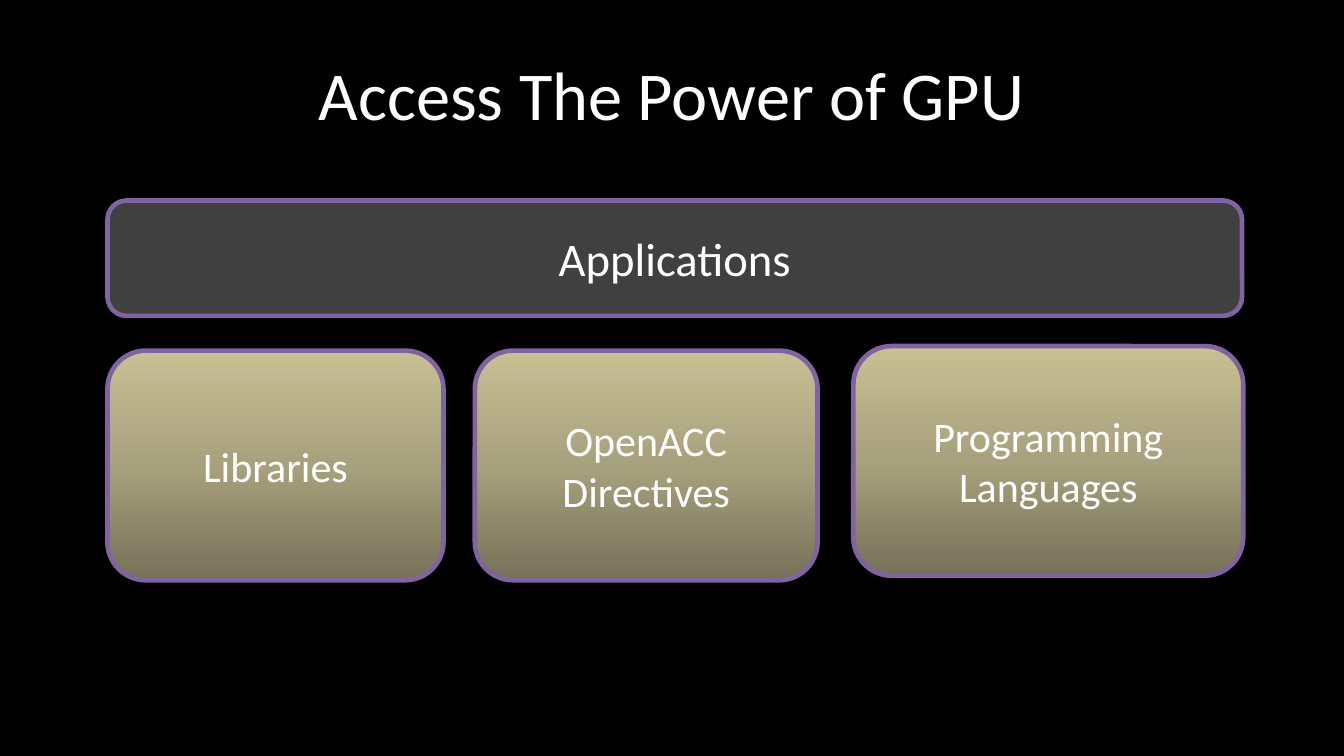
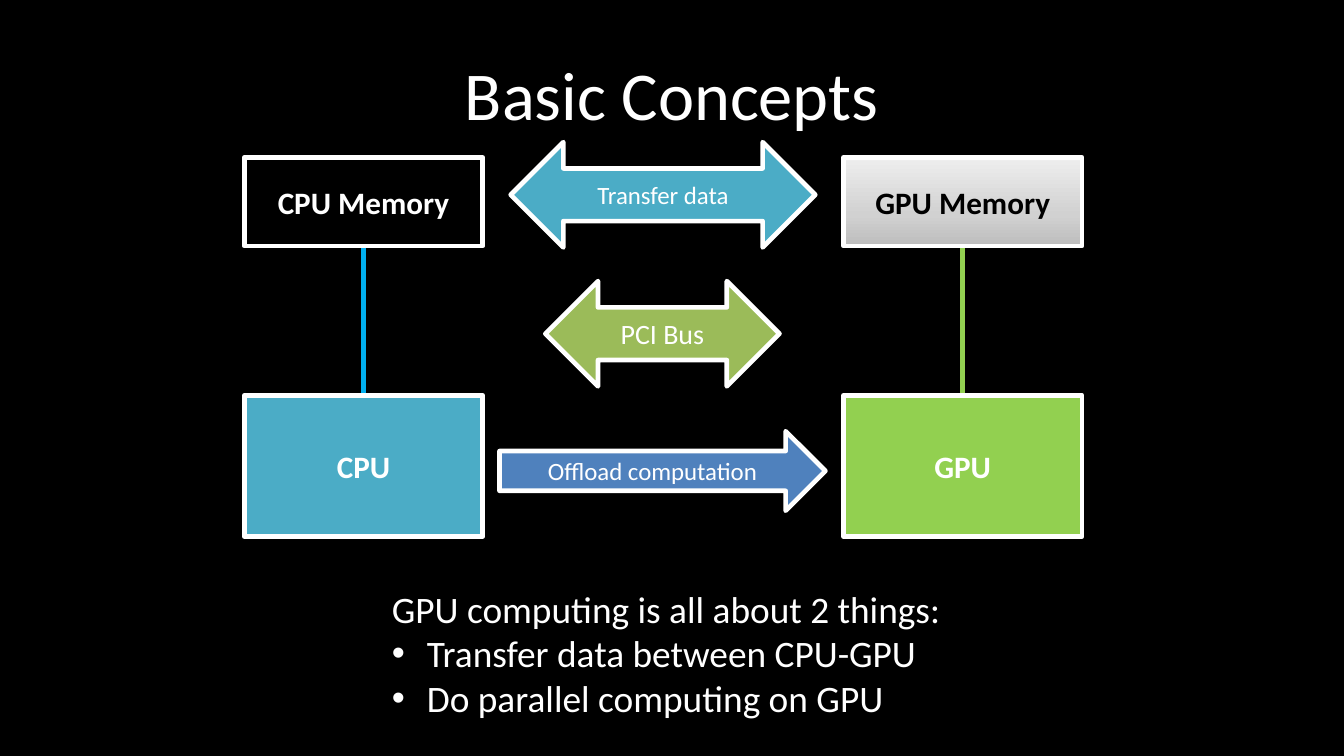
from lxml import etree
from pptx import Presentation
from pptx import util as u
from pptx.dml.color import RGBColor
from pptx.enum import shapes, text
from pptx.oxml import ns

FONT = "Calibri"
BLACK = RGBColor(0x00, 0x00, 0x00)
WHITE = RGBColor(0xFF, 0xFF, 0xFF)
CHARCOAL = RGBColor(0x40, 0x40, 0x40)
PURPLE = RGBColor(0x80, 0x64, 0xA2)
TEAL = RGBColor(0x4B, 0xAC, 0xC6)
OLIVE = RGBColor(0x9B, 0xBB, 0x59)
BLUE = RGBColor(0x4F, 0x81, 0xBD)
SKY = RGBColor(0x00, 0xB0, 0xF0)
LIME = RGBColor(0x92, 0xD0, 0x50)
SAND = {0: RGBColor(0x76, 0x71, 0x58), 50: RGBColor(0xA8, 0xA1, 0x7D), 100: RGBColor(0xC8, 0xC0, 0x94)}
SILVER = {0: RGBColor(0xBD, 0xBD, 0xBD), 35: RGBColor(0xD1, 0xD1, 0xD1), 100: RGBColor(0xEE, 0xEE, 0xEE)}

CENTER = text.PP_ALIGN.CENTER
KIND = shapes.MSO_SHAPE


def write(para, words, size=20, color=WHITE, bold=False, align=CENTER):
    """Put formatted words in a paragraph; a vertical tab breaks the line."""
    para.text = words
    para.alignment = align
    for span in para.runs:
        span.font.name = FONT
        span.font.size = u.Pt(size)
        span.font.color.rgb = color
        span.font.bold = bold


def paint(shape, fill):
    """Fill a shape with a colour, or upwards with a dict of gradient stops."""
    if not isinstance(fill, dict):
        shape.fill.solid()
        shape.fill.fore_color.rgb = fill
        return
    shape.fill.gradient()
    shape.fill.gradient_angle = 90
    stops = shape.element.spPr.find(".//" + ns.qn("a:gsLst"))
    for stop in list(stops):
        stops.remove(stop)
    for position, color in fill.items():
        stop = etree.SubElement(stops, ns.qn("a:gs"), pos=str(position * 1000))
        etree.SubElement(stop, ns.qn("a:srgbClr"), val=str(color))


def add_box(page, kind, place, words, fill, line=WHITE, margins=(7.2, 3.6), **style):
    """Add an outlined preset shape with a centred label."""
    box = page.shapes.add_shape(kind, *map(u.Pt, place))
    box.shadow.inherit = False
    paint(box, fill)
    box.line.color.rgb = line
    box.line.width = u.Pt(3)
    frame = box.text_frame
    frame.word_wrap = True
    frame.vertical_anchor = text.MSO_ANCHOR.MIDDLE
    frame.margin_left = frame.margin_right = u.Pt(margins[0])
    frame.margin_top = frame.margin_bottom = u.Pt(margins[1])
    write(frame.paragraphs[0], words, **style)
    return box


def add_link(page, upper, lower, color):
    """Join two stacked boxes with a line that lies behind them."""
    link = page.shapes.add_connector(shapes.MSO_CONNECTOR.STRAIGHT, 0, 0, 0, 0)
    link.begin_connect(upper, 2)
    link.end_connect(lower, 0)
    link.line.color.rgb = color
    link.line.width = u.Pt(3)
    etree.SubElement(link.element.spPr, ns.qn("a:effectLst"))
    upper.element.addprevious(link.element)


def add_bullet(para, indent=22.5):
    """Give a paragraph a hanging bullet."""
    props = para._p.get_or_add_pPr()
    props.set("marL", str(u.Pt(indent)))
    props.set("indent", str(-u.Pt(indent)))
    etree.SubElement(props, ns.qn("a:buFont"), typeface="Arial")
    etree.SubElement(props, ns.qn("a:buChar"), char="•")


def add_summary(page, place, heading, points):
    """Add a heading line followed by bulleted points."""
    frame = page.shapes.add_textbox(*map(u.Pt, place)).text_frame
    frame.word_wrap = False
    frame.auto_size = text.MSO_AUTO_SIZE.SHAPE_TO_FIT_TEXT
    write(frame.paragraphs[0], heading, size=24, align=text.PP_ALIGN.LEFT)
    for point in points:
        para = frame.add_paragraph()
        write(para, point, size=24, align=text.PP_ALIGN.LEFT)
        add_bullet(para)


def add_page(deck, title):
    """Add a black page with a centred title."""
    page = deck.slides.add_slide(deck.slide_layouts[6])
    page.background.fill.solid()
    page.background.fill.fore_color.rgb = BLACK
    frame = page.shapes.add_textbox(*map(u.Pt, (43.2, 19.4, 777.6, 80.6))).text_frame
    frame.word_wrap = True
    frame.vertical_anchor = text.MSO_ANCHOR.MIDDLE
    write(frame.paragraphs[0], title, size=44)
    return page


def build_access(deck):
    """Show the three routes from applications to the GPU."""
    page = add_page(deck, "Access The Power of GPU")
    look = dict(line=PURPLE, margins=(5.8, 2.9))
    add_box(page, KIND.ROUNDED_RECTANGLE, (69.1, 128.9, 729.4, 74.2), "Applications", CHARCOAL, size=30, **look)
    routes = [
        ("Libraries", 69.1, 225.4, 216),
        ("OpenACC\vDirectives", 305.3, 225.4, 220.3),
        ("Programming Languages", 548.6, 222.5, 250.6),
    ]
    for words, left, top, width in routes:
        add_box(page, KIND.ROUNDED_RECTANGLE, (left, top, width, 147.6), words, SAND, size=27, **look)


def build_concepts(deck):
    """Show how CPU and GPU share data and work."""
    page = add_page(deck, "Basic Concepts")
    arrows = [
        (KIND.LEFT_RIGHT_ARROW, (350.6, 180.7, 150.5, 67.7), "PCI Bus", OLIVE, 18),
        (KIND.LEFT_RIGHT_ARROW, (328.3, 91.4, 195.8, 67.7), "Transfer data", TEAL, 16),
        (KIND.RIGHT_ARROW, (321.1, 277.2, 209.5, 51.1), "Offload computation", BLUE, 16),
    ]
    for kind, place, words, fill, size in arrows:
        add_box(page, kind, place, words, fill, size=size)
    sides = [
        ("CPU", 157, BLACK, WHITE, TEAL, SKY),
        ("GPU", 542.2, SILVER, BLACK, LIME, LIME),
    ]
    for name, left, memory_fill, memory_color, fill, link_color in sides:
        memory = add_box(page, KIND.RECTANGLE, (left, 101.2, 153.4, 56.9), f"{name} Memory",
                         memory_fill, color=memory_color, bold=True)
        processor = add_box(page, KIND.RECTANGLE, (left, 254.2, 153.4, 90.7), name, fill, bold=True)
        add_link(page, memory, processor, link_color)
    add_summary(page, (244.8, 373, 370, 94.3), "GPU computing is all about 2 things:",
                ["Transfer data between CPU-GPU", "Do parallel computing on GPU"])


def main():
    """Build the deck and save it."""
    deck = Presentation()
    deck.slide_width, deck.slide_height = u.Pt(864), u.Pt(486)
    build_access(deck)
    build_concepts(deck)
    deck.save("out.pptx")


if __name__ == "__main__":
    main()
